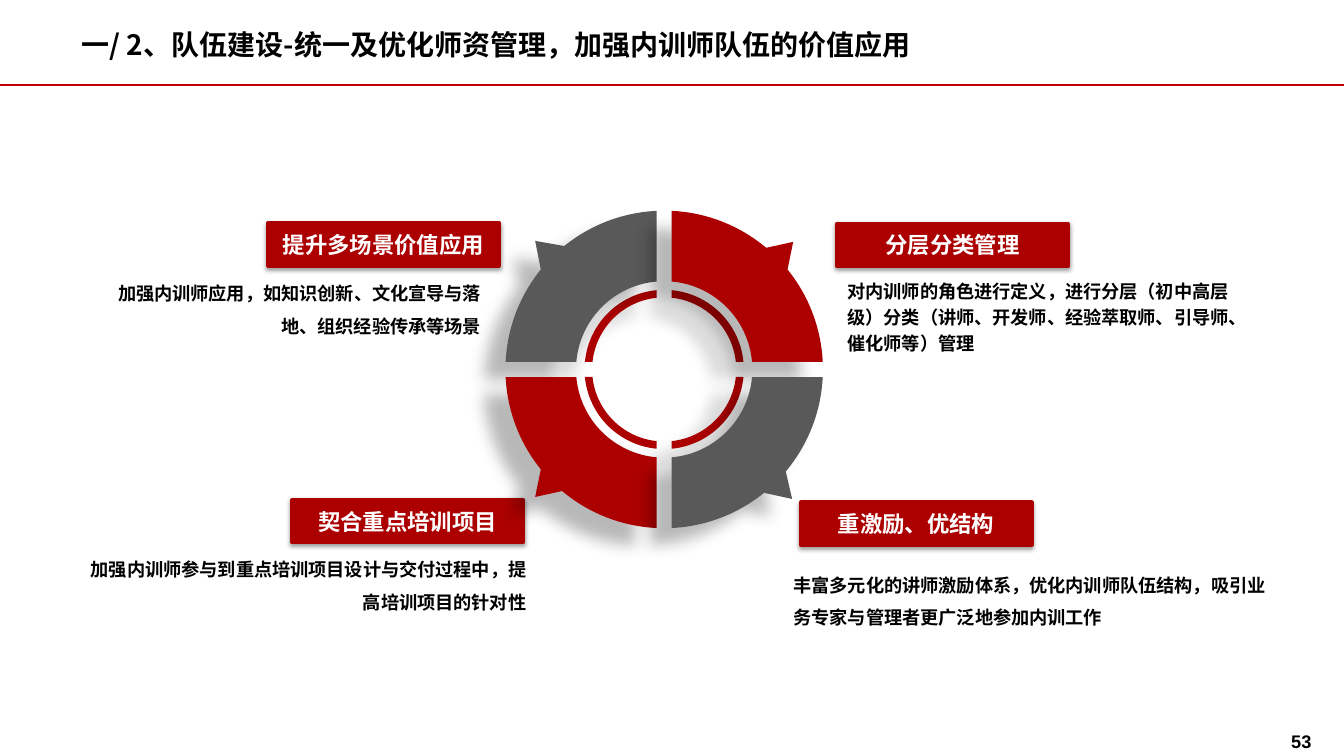
"""Build the slide on managing in-house trainers, with a four-part ring."""
from dataclasses import dataclass
from math import asin, cos, degrees, radians, sin, tan

from lxml import etree
from pptx import Presentation, util as u
from pptx.dml.color import RGBColor
from pptx.enum import shapes as es, text as et
from pptx.oxml.ns import qn

PX = 4572
HAN = "Noto Sans CJK SC"
HUES = {"red": "AC0000", "rule": "C00000", "gray": "595959", "white": "FFFFFF", "black": "000000"}
LEFT, MID, RIGHT = et.PP_ALIGN.LEFT, et.PP_ALIGN.CENTER, et.PP_ALIGN.RIGHT
MID_X, MID_Y, HALF_GAP = 1318, 733, 15
OUTER, INNER, BAND_OUT, BAND_IN = 315, 175, 158, 143
Point = tuple[float, float]


@dataclass
class Shade:
    """Soft shadow, in points, degrees and percent."""
    blur: float
    dist: float
    angle: int
    alpha: int


@dataclass
class Label:
    """Red heading bar."""
    x: int
    y: int
    text: str


@dataclass
class Note:
    """Bold paragraph under a bar."""
    x: int
    y: int
    w: int
    h: int
    text: str
    align: et.PP_ALIGN = LEFT
    space: float = 1.5
    hang: int = 0


@dataclass
class Part:
    """Quarter of the ring: its signs, pointer tip and pointer angles."""
    sx: int
    sy: int
    hue: str
    tip: Point
    low: int
    high: int


BAR_SHADE = Shade(3.1, 1.6, 90, 38)
RING_SHADE = Shade(11.8, 19.7, 141, 28)
LABELS = [
    Label(1661, 444, "分层分类管理"),
    Label(532, 443, "提升多场景价值应用"),
    Label(580, 992, "契合重点培训项目"),
    Label(1589, 997, "重激励、优结构"),
]
NOTES = [
    Note(1662, 537, 862, 174, "对内训师的角色进行定义，进行分层（初中高层级）分类（讲师、开发师、经验萃取师、引导师、催化师等）管理", space=1.2),
    Note(152, 1076, 912, 144, "加强内训师参与到重点培训项目设计与交付过程中，提高培训项目的针对性", RIGHT, hang=76),
    Note(176, 529, 798, 144, "加强内训师应用，如知识创新、文化宣导与落地、组织经验传承等场景", RIGHT, hang=76),
    Note(1555, 1107, 990, 144, "丰富多元化的讲师激励体系，优化内训师队伍结构，吸引业务专家与管理者更广泛地参加内训工作"),
]
PARTS = [
    Part(-1, -1, "gray", (256, 255), 39, 51),
    Part(-1, 1, "red", (256, 253), 39, 50),
    Part(1, -1, "red", (256, 253), 39, 50),
    Part(1, 1, "gray", (254, 257), 40, 51),
]


def hue(name: str) -> RGBColor:
    """Return a named colour."""
    return RGBColor.from_string(HUES[name])


def place(shape, x: int, y: int, w: int, h: int) -> None:
    """Set a shape's box in px."""
    shape.left, shape.top, shape.width, shape.height = (n * PX for n in (x, y, w, h))


def write(shape, text: str, size: int, name: str = "black", align=LEFT, face: str = HAN, anchor=et.MSO_ANCHOR.TOP):
    """Fill a shape with one bold paragraph and return it."""
    frame = shape.text_frame
    frame.text = text
    frame.word_wrap = True
    frame.auto_size = et.MSO_AUTO_SIZE.NONE
    frame.vertical_anchor = anchor
    para = frame.paragraphs[0]
    para.alignment = align
    for run in para.runs:
        font = run.font
        font.size, font.bold, font.name = u.Pt(size), True, face
        font.color.rgb = hue(name)
        etree.SubElement(font._element, qn("a:ea")).set("typeface", face)
    return para


def cast(shape, shade: Shade) -> None:
    """Give a shape its outer shadow."""
    shape.shadow.inherit = False
    glow = etree.SubElement(shape._element.spPr.find(qn("a:effectLst")), qn("a:outerShdw"))
    for key, val in {"blurRad": u.Pt(shade.blur), "dist": u.Pt(shade.dist), "dir": shade.angle * 60000,
                     "algn": "ctr", "rotWithShape": 0}.items():
        glow.set(key, str(val))
    tint = etree.SubElement(glow, qn("a:srgbClr"), val=HUES["black"])
    etree.SubElement(tint, qn("a:alpha"), val=str(shade.alpha * 1000))


def add_rule(slide) -> None:
    """Draw the line below the title."""
    line = slide.shapes.add_connector(es.MSO_CONNECTOR.STRAIGHT, 0, 169 * PX, 2667 * PX, 169 * PX)
    line.line.color.rgb = hue("rule")
    line.line.width = u.Pt(1.5)
    etree.SubElement(line._element.spPr, qn("a:effectLst"))


def add_label(slide, label: Label) -> None:
    """Draw a heading bar."""
    bar = slide.shapes.add_shape(es.MSO_SHAPE.RECTANGLE, 0, 0, 0, 0)
    place(bar, label.x, label.y, 458, 84)
    bar.fill.solid()
    bar.fill.fore_color.rgb = bar.line.color.rgb = hue("red")
    bar.line.width = u.Pt(3)
    cast(bar, BAR_SHADE)
    write(bar, label.text, 16, "white", MID, anchor=et.MSO_ANCHOR.MIDDLE)


def add_note(slide, note: Note) -> None:
    """Draw a paragraph box."""
    box = slide.shapes.add_textbox(0, 0, 0, 0)
    place(box, note.x, note.y, note.w, note.h)
    para = write(box, note.text, 13, align=note.align)
    para.line_spacing = note.space
    if note.hang:
        props = para._p.get_or_add_pPr()
        props.set("marL", str(note.hang * PX))
        props.set("indent", str(-note.hang * PX))
        props.set("hangingPunct", "0")


def polar(rad: float, angle: float) -> Point:
    """Return the point at an angle on a circle."""
    return rad * cos(radians(angle)), rad * sin(radians(angle))


def arc(rad: int, start: float, end: float) -> list[Point]:
    """Return two handles and the end of a curve along a circle."""
    arm = 4 / 3 * tan(radians(end - start) / 4)
    reach, bend = rad * (1 + arm * arm) ** 0.5, degrees(asin(arm / (1 + arm * arm) ** 0.5))
    return [polar(reach, start + bend), polar(reach, end - bend), polar(rad, end)]


def trim(rad: int) -> float:
    """Return the angle at which a circle meets the gap."""
    return degrees(asin(HALF_GAP / rad))


def quarter(part: Part, rad: int, hole: int, tip: bool) -> list[list[Point]]:
    """List a quarter's start, then its lines and curves."""
    low, cut = trim(rad), trim(hole)
    if tip:
        rim = [arc(rad, low, part.low), [part.tip], [polar(rad, part.high)], arc(rad, part.high, 90 - low)]
    else:
        rim = [arc(rad, low, 90 - low)]
    return [[polar(rad, low)], *rim, [polar(hole, 90 - cut)], arc(hole, 90 - cut, cut)]


def bend_lines(shape, steps: list[list[Point]]) -> None:
    """Merge each run of three line points into a curve."""
    lines = iter(list(shape._element.iter(qn("a:lnTo"))))
    for step in steps:
        group = [next(lines) for _ in step]
        if len(step) == 3:
            curve = etree.Element(qn("a:cubicBezTo"))
            group[0].addprevious(curve)
            for line in group:
                curve.append(line[0])
                line.getparent().remove(line)


def add_ring(slide, parts: list[Part], rad: int, hole: int, tip: bool) -> None:
    """Draw quarters as one freeform."""
    pen, steps = None, []
    for part in parts:
        path = quarter(part, rad, hole, tip)
        pts = [((MID_X + part.sx * x) * PX, (MID_Y + part.sy * y) * PX) for step in path for x, y in step]
        if pen is None:
            pen = slide.shapes.build_freeform(*pts[0])
        else:
            pen.move_to(*pts[0])
        pen.add_line_segments(pts[1:], close=False)
        pen.add_line_segments([], close=True)
        steps += path[1:]
    ring = pen.convert_to_shape()
    bend_lines(ring, steps)
    ring.fill.solid()
    ring.fill.fore_color.rgb = hue(parts[0].hue if tip else "red")
    ring.line.fill.background()
    cast(ring, RING_SHADE)


def main() -> None:
    """Build and save the slide."""
    deck = Presentation()
    deck.slide_width, deck.slide_height = 2667 * PX, 1500 * PX
    slide = deck.slides.add_slide(deck.slide_layouts[5])
    add_rule(slide)
    title = slide.shapes.title
    place(title, 142, 44, 2024, 88)
    write(title, "一/ 2、队伍建设-统一及优化师资管理，加强内训师队伍的价值应用", 20)
    for label in LABELS:
        add_label(slide, label)
    for note in NOTES:
        add_note(slide, note)
    page = slide.shapes.add_textbox(0, 0, 0, 0)
    place(page, 2066, 1440, 556, 38)
    write(page, "53", 13, align=RIGHT, face="Arial")
    add_ring(slide, PARTS, BAND_OUT, BAND_IN, False)
    for part in PARTS:
        add_ring(slide, [part], OUTER, INNER, True)
    deck.save("out.pptx")


if __name__ == "__main__":
    main()
